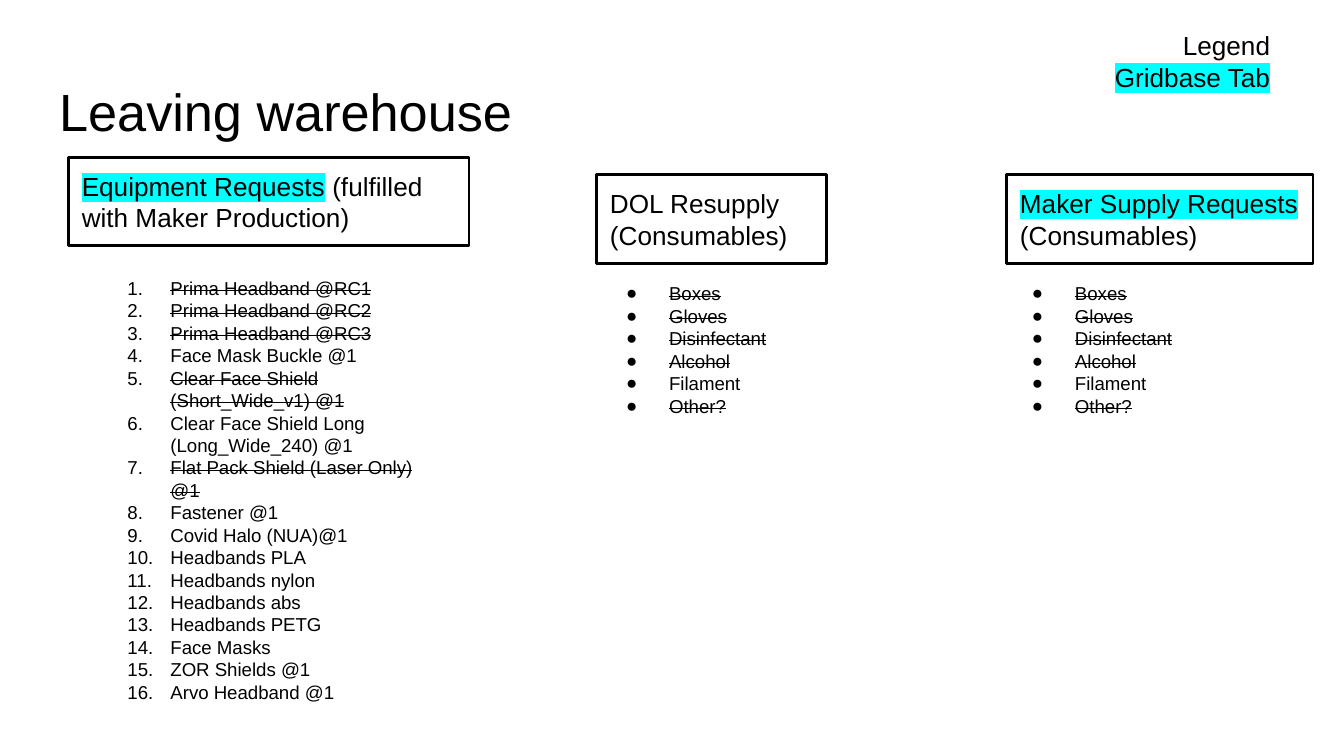
from dataclasses import dataclass

from lxml import etree
from pptx import Presentation
from pptx.dml.color import RGBColor
from pptx.enum.shapes import MSO_SHAPE
from pptx.enum.text import MSO_ANCHOR, MSO_AUTO_SIZE, PP_ALIGN
from pptx.oxml.ns import qn
from pptx.util import Pt

RECTANGLE = MSO_SHAPE.RECTANGLE
TOP, MIDDLE = MSO_ANCHOR.TOP, MSO_ANCHOR.MIDDLE
LEFT, RIGHT = PP_ALIGN.LEFT, PP_ALIGN.RIGHT
TITLE_ONLY = 5
EMU_PER_PX = 9144  # 100 px to the inch


@dataclass(frozen=True)
class Theme:
    font: str = "Arial"
    ink: str = "000000"
    paper: str = "FFFFFF"
    marker: str = "00FFFF"
    title_size: int = 28
    heading_size: int = 14
    list_size: int = 10
    outline: float = 1.5
    line_spacing: float = 1.0
    inset: int = 10
    indent: int = 50
    hanging: int = 32


def px(length):
    return length * EMU_PER_PX


class SlideBuilder:
    def __init__(self, deck, theme):
        self.theme = theme
        self.page = deck.slides.add_slide(deck.slide_layouts[TITLE_ONLY])
        fill = self.page.background.fill
        fill.solid()
        fill.fore_color.rgb = RGBColor.from_string(theme.paper)

    def prepare_frame(self, box, anchor):
        frame = box.text_frame
        frame.word_wrap = True
        frame.auto_size = MSO_AUTO_SIZE.NONE
        frame.vertical_anchor = anchor
        frame.margin_left = frame.margin_right = px(self.theme.inset)
        frame.margin_top = frame.margin_bottom = px(self.theme.inset)
        return frame

    def next_para(self, frame, first, align=LEFT):
        para = frame.paragraphs[0] if first else frame.add_paragraph()
        para.alignment = align
        para.line_spacing = self.theme.line_spacing
        para.space_before = para.space_after = Pt(0)
        return para

    def add_span(self, para, text, size, marked=False, struck=False):
        span = para.add_run()
        span.text = text
        span.font.name = self.theme.font
        span.font.size = Pt(size)
        span.font.color.rgb = RGBColor.from_string(self.theme.ink)
        properties = span.font._element
        if struck:
            properties.set("strike", "sngStrike")
        if marked:
            highlight = etree.Element(qn("a:highlight"))
            etree.SubElement(highlight, qn("a:srgbClr"), val=self.theme.marker)
            properties.find(qn("a:solidFill")).addnext(highlight)

    def title(self, text, left, top, width, height):
        box = self.page.shapes.title
        box.left, box.top = px(left), px(top)
        box.width, box.height = px(width), px(height)
        para = self.next_para(self.prepare_frame(box, TOP), True)
        self.add_span(para, text, self.theme.title_size)

    def heading(self, lines, left, top, width, height):
        """Outlined box; each line is a list of (text, marked) spans."""
        box = self.page.shapes.add_shape(
            RECTANGLE, px(left), px(top), px(width), px(height))
        box.shadow.inherit = False
        box.fill.background()
        box.line.color.rgb = RGBColor.from_string(self.theme.ink)
        box.line.width = Pt(self.theme.outline)
        para = self.next_para(self.prepare_frame(box, MIDDLE), True)
        for index, spans in enumerate(lines):
            if index:
                para.add_line_break()
            for text, marked in spans:
                self.add_span(para, text, self.theme.heading_size, marked)

    def text_box(self, left, top, width, height):
        box = self.page.shapes.add_textbox(
            px(left), px(top), px(width), px(height))
        return self.prepare_frame(box, TOP)

    def legend(self, entries, left, top, width, height):
        frame = self.text_box(left, top, width, height)
        for index, (text, marked) in enumerate(entries):
            para = self.next_para(frame, index == 0, RIGHT)
            self.add_span(para, text, self.theme.heading_size, marked)

    def item_list(self, items, left, top, width, height, numbered=False):
        """List of (text, struck) items, numbered or with round bullets."""
        frame = self.text_box(left, top, width, height)
        for index, (text, struck) in enumerate(items):
            para = self.next_para(frame, index == 0)
            self.add_bullet(para, numbered)
            self.add_span(para, text, self.theme.list_size, struck=struck)

    def add_bullet(self, para, numbered):
        properties = para._p.get_or_add_pPr()
        properties.set("marL", str(px(self.theme.indent)))
        properties.set("indent", str(-px(self.theme.hanging)))
        color = etree.SubElement(properties, qn("a:buClr"))
        etree.SubElement(color, qn("a:srgbClr"), val=self.theme.ink)
        etree.SubElement(properties, qn("a:buFont"), typeface=self.theme.font)
        if numbered:
            etree.SubElement(properties, qn("a:buAutoNum"), type="arabicPeriod")
        else:
            etree.SubElement(properties, qn("a:buChar"), char="●")


EQUIPMENT = [
    ("Prima Headband @RC1", True),
    ("Prima Headband @RC2", True),
    ("Prima Headband @RC3", True),
    ("Face Mask Buckle @1", False),
    ("Clear Face Shield (Short_Wide_v1) @1", True),
    ("Clear Face Shield Long (Long_Wide_240) @1", False),
    ("Flat Pack Shield (Laser Only) @1", True),
    ("Fastener @1", False),
    ("Covid Halo (NUA)@1", False),
    ("Headbands PLA", False),
    ("Headbands nylon", False),
    ("Headbands abs", False),
    ("Headbands PETG", False),
    ("Face Masks", False),
    ("ZOR Shields @1", False),
    ("Arvo Headband @1", False),
]
CONSUMABLES = [
    ("Boxes", True),
    ("Gloves", True),
    ("Disinfectant", True),
    ("Alcohol", True),
    ("Filament", False),
    ("Other?", True),
]
# heading, marked, heading left, heading width, list left
SUPPLY_COLUMNS = [
    ("DOL Resupply", False, 444, 171, 438),
    ("Maker Supply Requests", True, 749, 228, 740),
]


def main():
    deck = Presentation()
    deck.slide_width = px(1000)
    deck.slide_height = px(1000) * 9 // 16
    slide = SlideBuilder(deck, Theme())

    slide.title("Leaving warehouse", 34, 49, 932, 63)
    slide.heading([[("Equipment Requests", True),
                    (" (fulfilled with Maker Production)", False)]],
                  51, 117, 298, 66)
    for name, marked, heading_left, heading_width, list_left in SUPPLY_COLUMNS:
        slide.heading([[(name, marked)], [("(Consumables)", False)]],
                      heading_left, 130, heading_width, 66)
        slide.item_list(CONSUMABLES, list_left, 200, 205, 119)
    slide.legend([("Legend", False), ("Gridbase Tab", True)], 579, 12, 376, 99)
    slide.item_list(EQUIPMENT, 67, 196, 274, 343, numbered=True)

    deck.save("out.pptx")


if __name__ == "__main__":
    main()
